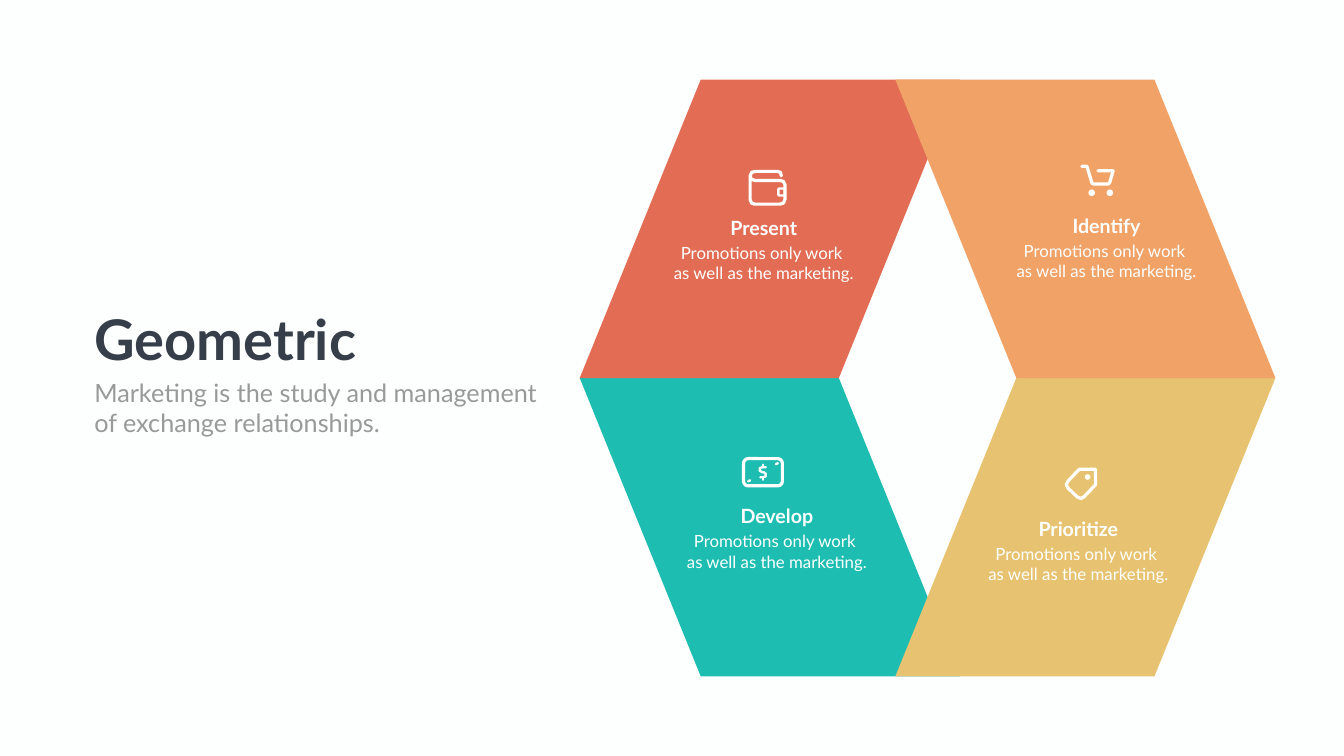
from dataclasses import dataclass

from lxml import etree
from pptx import Presentation
from pptx import util as u
from pptx.dml.color import RGBColor
from pptx.enum import shapes, text
from pptx.oxml.ns import qn


@dataclass(frozen=True)
class Theme:
    font: str = "Lato"
    paper: str = "FDFFFE"
    ink: str = "353E49"
    muted: str = "989998"
    icon: str = "FFFFFF"
    title: int = 80
    subtitle: int = 36
    heading: int = 28
    caption: int = 24
    stroke: float = 4.6
    fine_stroke: float = 3.4


THEME = Theme()
WIDTH, HEIGHT = 26.66, 15
CENTRE_X, CENTRE_Y = 18.4, HEIGHT / 2
# Offsets from the hexagon's centre: (outwards, away from the middle line)
PANEL = [(-0.64, 5.92), (4.5, 5.92), (6.9, 0), (1.76, 0)]
CAPTION = ["Promotions only work ", "as well as the marketing."]

# Fill, side (-1 left, 1 right), half (-1 top, 1 bottom)
PANELS = [
    ("1EBDB2", -1, 1),
    ("E26D54", -1, -1),
    ("E7C270", 1, 1),
    ("F1A266", 1, -1),
]
# Heading, centre x, top
CARDS = [
    ("Present", 15.15, 4.23),
    ("Identify", 21.95, 4.19),
    ("Prioritize", 21.39, 10.2),
    ("Develop", 15.41, 9.95),
]


def rgb(value):
    return RGBColor.from_string(value)


def freeform(s, points, close=True):
    (x, y), *rest = [(u.Inches(px), u.Inches(py)) for px, py in points]
    builder = s.shapes.build_freeform(x, y, scale=1.0)
    builder.add_line_segments(rest, close=close)
    sp = builder.convert_to_shape()
    sp.shadow.inherit = False
    return sp


def paint(sp, color):
    sp.fill.solid()
    sp.fill.fore_color.rgb = rgb(color)
    sp.line.fill.background()


def outline(sp, width):
    sp.fill.background()
    sp.line.color.rgb = rgb(THEME.icon)
    sp.line.width = u.Pt(width)
    ln = sp.line._get_or_add_ln()
    ln.set("cap", "rnd")
    etree.SubElement(ln, qn("a:round"))


def panel(s, color, side, half):
    paint(freeform(s, [(CENTRE_X + side * x, CENTRE_Y + half * y) for x, y in PANEL]), color)


def stroke(s, origin, points, close=False, width=THEME.stroke):
    """Draw a round-ended icon line; points are offsets from the icon's origin."""
    x, y = origin
    outline(freeform(s, [(x + dx, y + dy) for dx, dy in points], close), width)


def icon_shape(s, kind, origin, dx, dy, w, h):
    x, y = origin
    sp = s.shapes.add_shape(kind, *map(u.Inches, (x + dx, y + dy, w, h)))
    sp.shadow.inherit = False
    return sp


def dot(s, origin, dx, dy, size):
    paint(icon_shape(s, shapes.MSO_SHAPE.OVAL, origin, dx, dy, size, size), THEME.icon)


def frame(s, origin, dx, dy, w, h, width=THEME.stroke):
    outline(icon_shape(s, shapes.MSO_SHAPE.ROUNDED_RECTANGLE, origin, dx, dy, w, h), width)


def cart(s, origin):
    stroke(s, origin, [(0.03, 0.03), (0.13, 0.03), (0.23, 0.36), (0.25, 0.38), (0.55, 0.38),
                       (0.58, 0.36), (0.65, 0.12), (0.35, 0.12)])
    for dx in (0.16, 0.52):
        dot(s, origin, dx, 0.49, 0.13)


def tag(s, origin):
    stroke(s, origin, [(0.3, 0.03), (0.62, 0.03), (0.62, 0.34), (0.39, 0.58), (0.33, 0.61),
                       (0.26, 0.58), (0.08, 0.41), (0.04, 0.34), (0.08, 0.26)], close=True)
    dot(s, origin, 0.41, 0.13, 0.11)


def banknote(s, origin):
    fine = THEME.fine_stroke
    frame(s, origin, 0.04, 0.03, 0.77, 0.54)
    stroke(s, origin, [(0.48, 0.2), (0.41, 0.2), (0.36, 0.22), (0.36, 0.27), (0.41, 0.3),
                       (0.44, 0.3), (0.48, 0.33), (0.48, 0.38), (0.43, 0.4), (0.37, 0.4)],
           width=fine)
    for top in (0.15, 0.42):
        stroke(s, origin, [(0.43, top), (0.43, top + 0.03)], width=fine)
    for dx, dy in ((0.68, 0.14), (0.13, 0.48)):
        stroke(s, origin, [(dx, dy), (dx + 0.04, dy - 0.02)], width=fine)


def wallet(s, origin):
    frame(s, origin, 0.6, 0.38, 0.13, 0.14, THEME.fine_stroke)
    stroke(s, origin, [(0.04, 0.13), (0.04, 0.6), (0.07, 0.67), (0.13, 0.69), (0.63, 0.69),
                       (0.7, 0.67), (0.73, 0.6), (0.73, 0.3), (0.7, 0.24), (0.63, 0.22),
                       (0.13, 0.22), (0.06, 0.19), (0.04, 0.13), (0.07, 0.06), (0.14, 0.04),
                       (0.58, 0.04), (0.64, 0.06), (0.66, 0.13)])


def write(sp, lines, size, color, bold=False, align=text.PP_ALIGN.LEFT, wrap=True):
    tf = sp.text_frame
    tf.word_wrap = wrap
    tf.auto_size = text.MSO_AUTO_SIZE.NONE
    tf.vertical_anchor = text.MSO_ANCHOR.TOP
    tf.text = "\n".join(lines)
    for p in tf.paragraphs:
        p.alignment = align
        p.space_before = u.Pt(0)
        p.font.name, p.font.size, p.font.bold = THEME.font, u.Pt(size), bold
        p.font.color.rgb = rgb(color)


def place(sp, x, y, w, h):
    sp.left, sp.top, sp.width, sp.height = map(u.Inches, (x, y, w, h))


def title_block(s):
    title, body = s.placeholders
    place(title, 1.77, 6, 5.49, 1.45)
    write(title, ["Geometric"], THEME.title, THEME.ink, bold=True, wrap=False)
    place(body, 1.77, 7.43, 9.74, 1.31)
    for_lines = ["Marketing is the study and management", "of exchange relationships."]
    write(body, for_lines, THEME.subtitle, THEME.muted)
    for p in body.text_frame.paragraphs:
        pPr = p._p.get_or_add_pPr()
        pPr.set("marL", "0")
        pPr.set("indent", "0")
        pPr.find(qn("a:spcBef")).addnext(etree.Element(qn("a:buNone")))


def card(s, heading, centre, top):
    rows = [
        ([heading], 2.63, 0.57, 0, THEME.heading, True),
        (CAPTION, 4.68, 0.91, 0.54, THEME.caption, False),
    ]
    for lines, w, h, drop, size, bold in rows:
        sp = s.shapes.add_textbox(*map(u.Inches, (centre - w / 2, top + drop, w, h)))
        write(sp, lines, size, THEME.paper, bold, text.PP_ALIGN.CENTER)


def main():
    prs = Presentation()
    prs.slide_width, prs.slide_height = u.Inches(WIDTH), u.Inches(HEIGHT)
    s = prs.slides.add_slide(prs.slide_layouts[1])
    s.background.fill.solid()
    s.background.fill.fore_color.rgb = rgb(THEME.paper)
    title_block(s)
    for color, side, half in PANELS:
        panel(s, color, side, half)
    cart(s, (21.43, 3.27))
    tag(s, (21.11, 9.28))
    banknote(s, (14.71, 9.07))
    wallet(s, (14.84, 3.36))
    for heading, centre, top in CARDS:
        card(s, heading, centre, top)
    prs.save("out.pptx")


if __name__ == "__main__":
    main()
